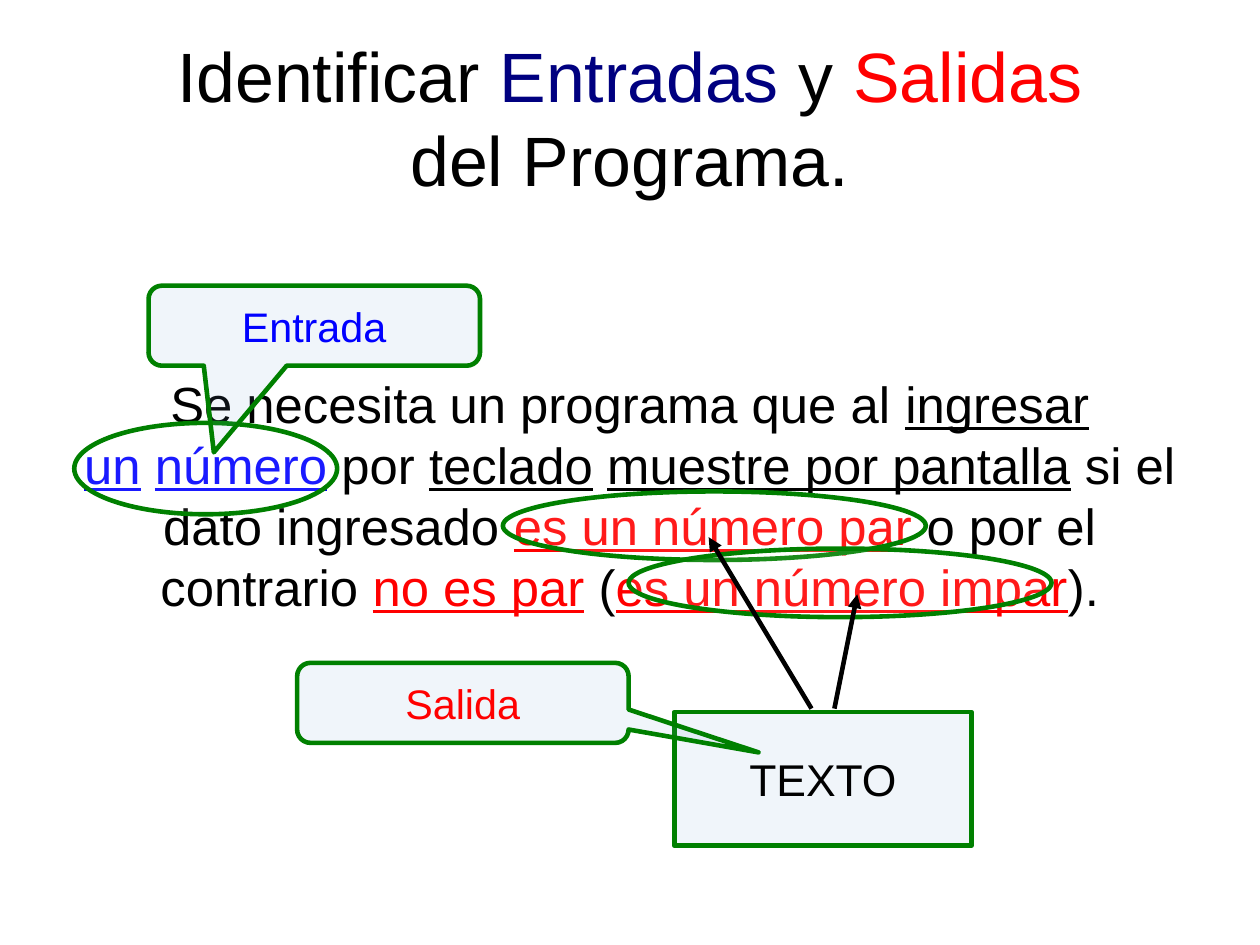
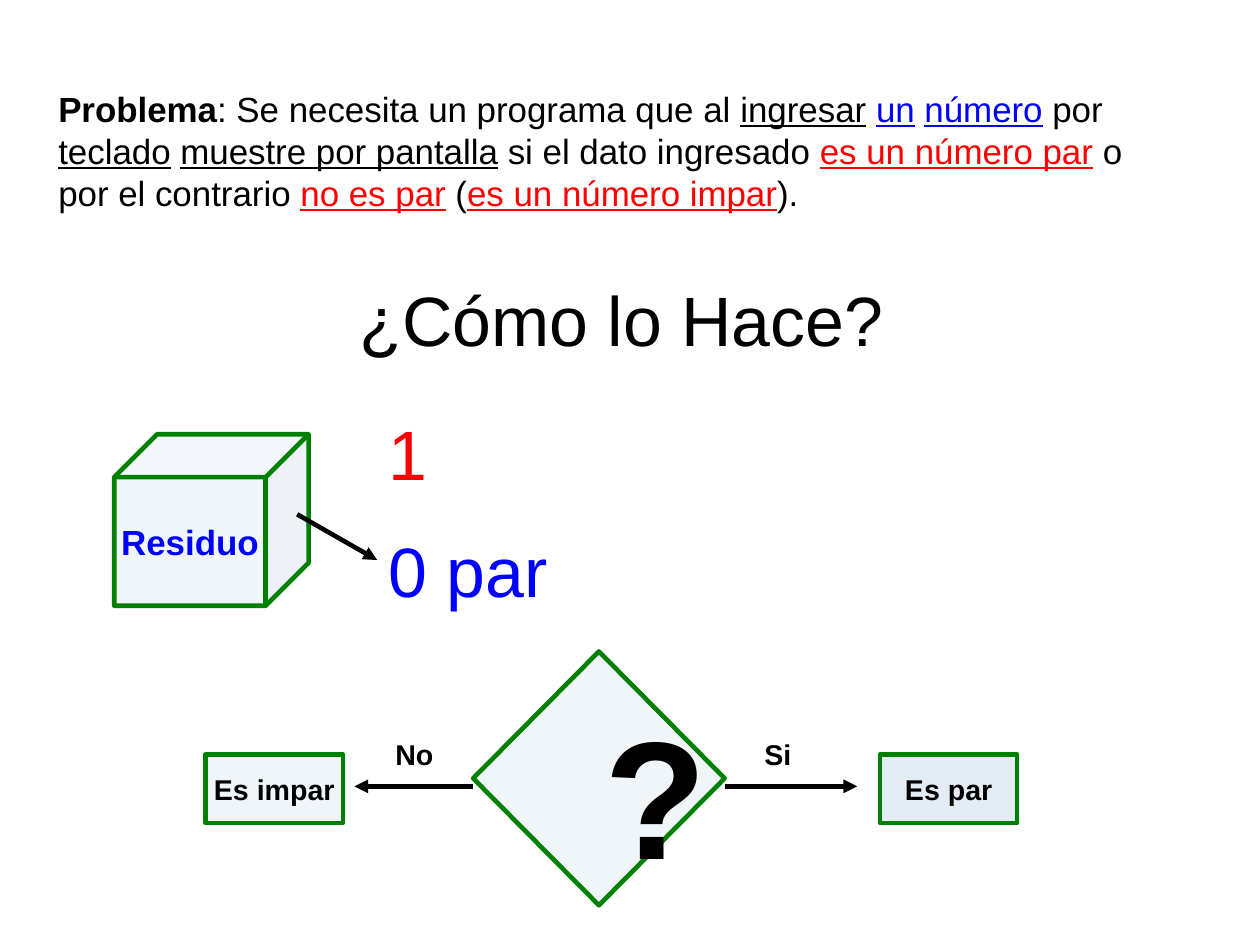
from dataclasses import dataclass

from lxml.etree import SubElement
from pptx import Presentation
from pptx.dml.color import RGBColor
from pptx.enum.shapes import MSO_CONNECTOR, MSO_SHAPE as SHAPE
from pptx.enum.text import MSO_ANCHOR, PP_ALIGN
from pptx.oxml.ns import qn
from pptx.util import Pt


@dataclass(frozen=True)
class Theme:
    font: str = "Arial"
    ink: str = "000000"
    navy: str = "000080"
    blue: str = "0000FF"
    red: str = "FF0000"
    green: str = "008000"
    tint: str = "729FCF"
    white: str = "FFFFFF"
    line: float = 2.89
    title: float = 44
    body: float = 32
    box: float = 28
    callout: float = 26
    small: float = 22
    label: float = 18
    mark: float = 105.6


T = Theme()
SLIDE_W, SLIDE_H = 793.7, 595.3
INSET = (7.2, 3.6)

# Run styles: colour, underlined, bold
STYLES = {
    "plain": (T.ink, False, False),
    "bold": (T.ink, False, True),
    "key": (T.ink, True, False),
    "input": (T.blue, True, False),
    "output": (T.red, True, False),
    "navy": (T.navy, False, False),
    "blue": (T.blue, False, False),
    "red": (T.red, False, False),
    "blue bold": (T.blue, False, True),
}

# Text is a list of paragraphs, each a list of (words, style)
REQUEST = [("Se necesita un programa que al ", "plain"), ("ingresar", "key")]
DETAIL = [
    ("un", "input"), (" ", "plain"), ("número", "input"), (" por ", "plain"),
    ("teclado", "key"), (" ", "plain"), ("muestre por pantalla", "key"),
    (" si el dato ingresado ", "plain"), ("es un número par", "output"),
    (" o por el contrario ", "plain"), ("no es par", "output"),
    (" (", "plain"), ("es un número impar", "output"), (").", "plain"),
]
TITLE_IO = [
    [("Identificar ", "plain"), ("Entradas", "navy"), (" y ", "plain"), ("Salidas", "red")],
    [("del Programa.", "plain")],
]
TITLE_HOW = [[("¿Cómo lo Hace?", "plain")]]
PROBLEM = [[("Problema", "bold"), (": ", "plain"), *REQUEST, (" ", "plain"), *DETAIL]]
REMAINDERS = [[("1", "red")], [("0 par", "blue")]]

# Boxes are (left, top, width, height)
ELLIPSES = [
    (46.8, 266.4, 165.6, 57.6),
    (316.8, 309.6, 266.4, 43.2),
    (396, 345.6, 266.4, 43.2),
]
CALLOUTS = [
    ("Entrada", "blue", (93.6, 180), (-0.303, 1.583, 0.167)),
    ("Salida", "red", (187.2, 417.6), (0.892, 0.619, 0.167)),
]
CALLOUT_SIZE = (208.8, 50.4)
TEXT_ARROWS = [((511.2, 446.4), (446.4, 338.4)), ((525.6, 446.4), (540, 374.4))]

DIAMOND = (298.08, 410.4, 158.4, 159.84)
FLOW_Y = 495.36
# Label, label box, arrow start, arrow end, result, result left, fill opacity
BRANCHES = [
    ("Si", (474.5, 457.2, 40.3, 36), DIAMOND[0] + DIAMOND[2], 540, "Es par", 554.4, 19),
    ("No", (241.9, 457.2, 46.8, 36), DIAMOND[0], 223.2, "Es impar", 129.6, 10),
]
RESULT_TOP, RESULT_SIZE = 475.2, (86.4, 43.2)


def pts(values):
    return [Pt(v) for v in values]


def write(sp, paras, size, align=PP_ALIGN.CENTER, inset=INSET, wrap=True, gap=0):
    tf = sp.text_frame
    tf.word_wrap = wrap
    tf.vertical_anchor = MSO_ANCHOR.MIDDLE
    tf.margin_left = tf.margin_right = Pt(inset[0])
    tf.margin_top = tf.margin_bottom = Pt(inset[1])
    for i, runs in enumerate(paras):
        p = tf.add_paragraph() if i else tf.paragraphs[0]
        p.alignment = align
        if i and gap:
            p.space_before = Pt(gap)
        for words, style in runs:
            color, underline, bold = STYLES[style]
            r = p.add_run()
            r.text = words
            r.font.name, r.font.size = T.font, Pt(size)
            r.font.bold, r.font.underline = bold, underline
            r.font.color.rgb = RGBColor.from_string(color)


def text(s, box, paras, size, **options):
    write(s.shapes.add_textbox(*pts(box)), paras, size, **options)


def heading(s, box, paras, size, **options):
    text(s, box, paras, size, inset=(0, 0), **options)


def shape(s, kind, box, fill=T.tint, opacity=10, adj=()):
    """Add a green outlined shape with a nearly clear fill."""
    sp = s.shapes.add_shape(kind, *pts(box))
    sp.shadow.inherit = False
    for i, value in enumerate(adj):
        sp.adjustments[i] = value
    sp.fill.solid()
    sp.fill.fore_color.rgb = RGBColor.from_string(fill)
    color = sp.fill._xPr.find(qn("a:solidFill"))[0]
    SubElement(color, qn("a:alpha")).set("val", str(opacity * 1000))
    sp.line.color.rgb = RGBColor.from_string(T.green)
    sp.line.width = Pt(T.line)
    return sp


def labelled(s, kind, box, words, style, size, **options):
    write(shape(s, kind, box, **options), [[(words, style)]], size, wrap=False)


def arrow(s, start, end):
    c = s.shapes.add_connector(MSO_CONNECTOR.STRAIGHT, *pts(start + end))
    c.line.color.rgb = RGBColor.from_string(T.ink)
    c.line.width = Pt(T.line)
    SubElement(c.line._get_or_add_ln(), qn("a:tailEnd")).set("type", "triangle")
    SubElement(c._element.spPr, qn("a:effectLst"))


def inputs_and_outputs(s):
    heading(s, (39.6, 23.8, 714.2, 99.4), TITLE_IO, T.title)
    heading(s, (39.6, 139, 714.2, 344.9), [REQUEST, DETAIL], T.body)
    for box in ELLIPSES:
        shape(s, SHAPE.OVAL, box, fill=T.white)
    for start, end in TEXT_ARROWS:
        arrow(s, start, end)
    labelled(s, SHAPE.RECTANGLE, (424.8, 448.6, 187.2, 84.2), "TEXTO", "plain", T.box)
    for words, style, corner, adj in CALLOUTS:
        labelled(s, SHAPE.ROUNDED_RECTANGULAR_CALLOUT, corner + CALLOUT_SIZE,
                 words, style, T.callout, adj=adj)


def how_it_works(s):
    heading(s, (34.6, 151.2, 714.2, 99.4), TITLE_HOW, T.title)
    heading(s, (36.7, 50.4, 687.6, 88.6), PROBLEM, T.small, align=PP_ALIGN.LEFT)
    shape(s, SHAPE.FLOWCHART_DECISION, DIAMOND)
    for label, box, start, end, result, left, opacity in BRANCHES:
        arrow(s, (start, FLOW_Y), (end, FLOW_Y))
        text(s, box, [[(label, "bold")]], T.label, align=PP_ALIGN.LEFT, wrap=False)
        labelled(s, SHAPE.RECTANGLE, (left, RESULT_TOP) + RESULT_SIZE,
                 result, "bold", T.label, opacity=opacity)
    text(s, (337, 436.3, 152.6, 125.3), [[("?", "bold")]], T.mark)
    labelled(s, SHAPE.CUBE, (72, 273.6, 122.4, 108), "Residuo", "blue bold", T.small,
             adj=(0.25,))
    text(s, (237.6, 234.7, 165.6, 175), REMAINDERS, T.title, align=PP_ALIGN.LEFT, gap=21)
    arrow(s, (187.2, 324), (237.6, 352.8))


def main():
    prs = Presentation()
    prs.slide_width, prs.slide_height = pts((SLIDE_W, SLIDE_H))
    for build in (inputs_and_outputs, how_it_works):
        build(prs.slides.add_slide(prs.slide_layouts[6]))
    prs.save("out.pptx")


if __name__ == "__main__":
    main()
